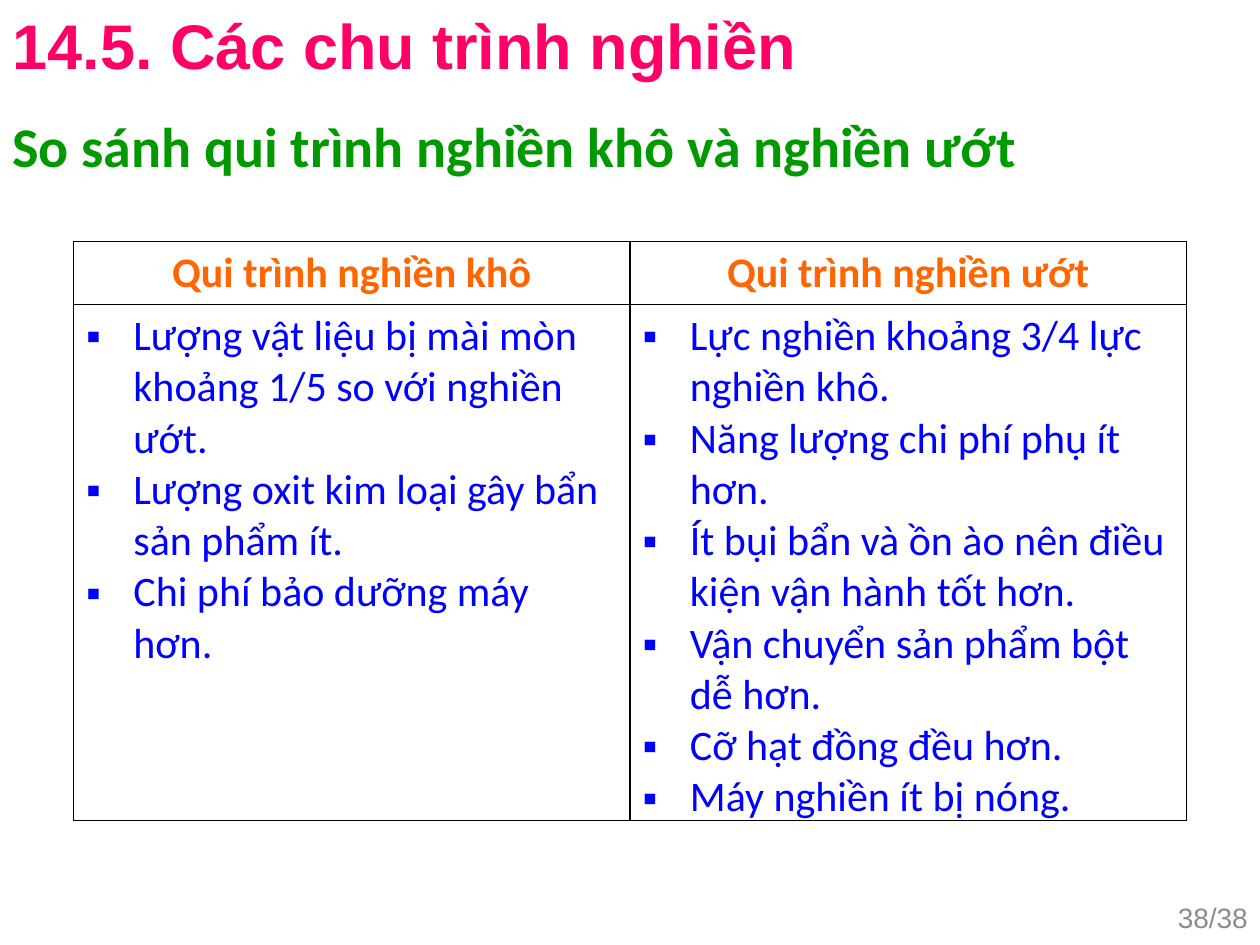
from lxml import etree
from pptx import Presentation
from pptx.dml.color import RGBColor
from pptx.enum.text import MSO_ANCHOR, MSO_AUTO_SIZE, PP_ALIGN
from pptx.oxml.ns import qn
from pptx.util import Pt

PINK = RGBColor(0xFF, 0x00, 0x66)
GREEN = RGBColor(0x00, 0x99, 0x00)
ORANGE = RGBColor(0xFF, 0x66, 0x00)
BLUE = RGBColor(0x00, 0x00, 0xFF)
GRAY = RGBColor(0x8C, 0x8C, 0x8C)
BLACK = RGBColor(0x00, 0x00, 0x00)
WHITE = RGBColor(0xFF, 0xFF, 0xFF)
LEFT, CENTER, RIGHT, JUSTIFY = PP_ALIGN.LEFT, PP_ALIGN.CENTER, PP_ALIGN.RIGHT, PP_ALIGN.JUSTIFY
TOP, MIDDLE = MSO_ANCHOR.TOP, MSO_ANCHOR.MIDDLE
NO_AUTOFIT = MSO_AUTO_SIZE.NONE


def write_text(frame, *lines, size=24, font="Calibri", color=BLUE, bold=False,
               align=LEFT, anchor=TOP, bullet=None):
    frame.word_wrap = True
    frame.vertical_anchor = anchor
    for index, line in enumerate(lines):
        paragraph = frame.paragraphs[0] if index == 0 else frame.add_paragraph()
        paragraph.alignment = align
        if bullet:
            properties = paragraph._p.get_or_add_pPr()
            properties.set("marL", str(Pt(27)))
            properties.set("indent", str(-Pt(27)))
            etree.SubElement(properties, qn("a:buFont")).set("typeface", "Arial")
            etree.SubElement(properties, qn("a:buChar")).set("char", bullet)
        run = paragraph.add_run()
        run.text = line
        run.font.name = font
        run.font.size = Pt(size)
        run.font.bold = bold
        run.font.color.rgb = color


def format_cell(cell):
    properties = cell._tc.get_or_add_tcPr()
    for side in ("a:lnL", "a:lnR", "a:lnT", "a:lnB"):
        border = etree.SubElement(properties, qn(side), w=str(Pt(1)))
        fill = etree.SubElement(border, qn("a:solidFill"))
        etree.SubElement(fill, qn("a:srgbClr"), val=str(BLACK))
    cell.fill.solid()
    cell.fill.fore_color.rgb = WHITE


presentation = Presentation()
presentation.slide_width = Pt(720)
presentation.slide_height = Pt(540)
slide = presentation.slides.add_slide(presentation.slide_layouts[5])

# Title
title = slide.shapes.title
title.left, title.top, title.width, title.height = Pt(0), Pt(0), Pt(720), Pt(51)
title.text_frame.auto_size = NO_AUTOFIT
write_text(title.text_frame, "14.5. Các chu trình nghiền",
           size=36, font="Arial", color=PINK, bold=True)

# Subtitle
subtitle = slide.shapes.add_textbox(Pt(0), Pt(60), Pt(720), Pt(46))
write_text(subtitle.text_frame, "So sánh qui trình nghiền khô và nghiền ướt",
           size=32, color=GREEN, bold=True, align=JUSTIFY)

# Comparison table: one column per grinding process
processes = {
    "Qui trình nghiền khô": [
        "Lượng vật liệu bị mài mòn khoảng 1/5 so với nghiền ướt.",
        "Lượng oxit kim loại gây bẩn sản phẩm ít.",
        "Chi phí bảo dưỡng máy hơn.",
    ],
    "Qui trình nghiền ướt": [
        "Lực nghiền khoảng 3/4 lực nghiền khô.",
        "Năng lượng chi phí phụ ít hơn.",
        "Ít bụi bẩn và ồn ào nên điều kiện vận hành tốt hơn.",
        "Vận chuyển sản phẩm bột dễ hơn.",
        "Cỡ hạt đồng đều hơn.",
        "Máy nghiền ít bị nóng.",
    ],
}
table = slide.shapes.add_table(2, 2, Pt(42), Pt(138), Pt(636), Pt(331)).table
table.first_row = False
table.horz_banding = False
table.rows[0].height = Pt(36)
table.rows[1].height = Pt(295)
for column, (heading, points) in enumerate(processes.items()):
    table.columns[column].width = Pt(318)
    header, body = table.cell(0, column), table.cell(1, column)
    write_text(header.text_frame, heading, color=ORANGE, bold=True, align=CENTER)
    write_text(body.text_frame, *points, bullet="▪")
    body.margin_bottom = Pt(0)
    format_cell(header)
    format_cell(body)

# Page number
page_number = slide.shapes.add_textbox(Pt(552), Pt(510), Pt(168), Pt(28.8))
write_text(page_number.text_frame, "38/38", size=16, font="Arial", color=GRAY,
           align=RIGHT, anchor=MIDDLE)

presentation.save("out.pptx")
